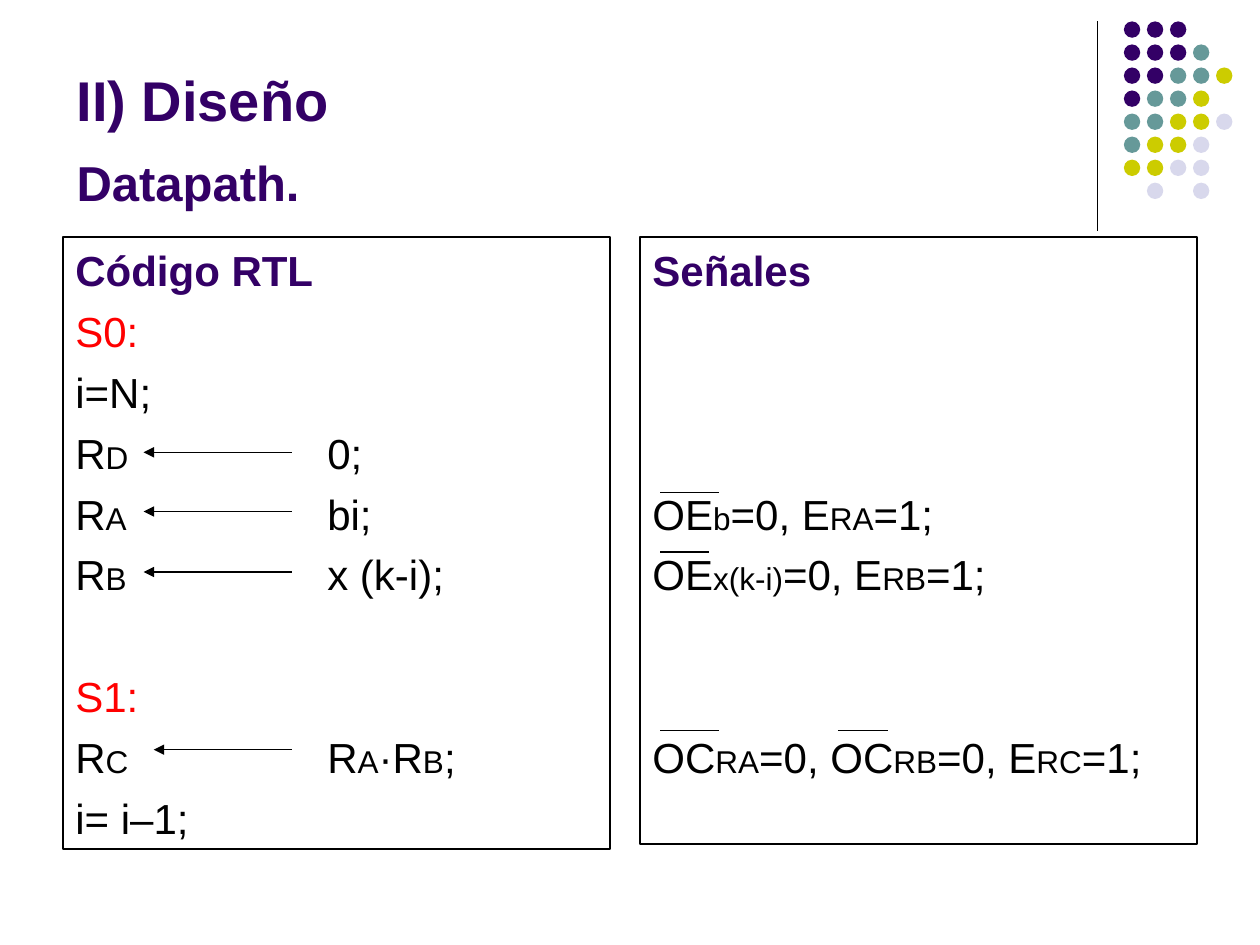
from dataclasses import dataclass

from lxml import etree
from pptx import Presentation
from pptx import util as u
from pptx.dml.color import RGBColor
from pptx.enum import shapes, text
from pptx.oxml import ns
from pptx.slide import Slide

PURPLE = RGBColor(0x33, 0x00, 0x66)
TEAL = RGBColor(0x66, 0x99, 0x99)
OLIVE = RGBColor(0xCC, 0xCC, 0x00)
LAVENDER = RGBColor(0xD8, 0xD8, 0xEC)
RED = RGBColor(0xFF, 0x00, 0x00)
BLACK = RGBColor(0x00, 0x00, 0x00)

DOT_COLORS = {"P": PURPLE, "T": TEAL, "O": OLIVE, "L": LAVENDER}
DOT_ROWS = ["PPP", "PPPT", "PPTTO", "PTTO", "TTOOL", "TOOL", "OOLL", " L L"]
DOT_PITCH = 1.28 / 7

GAP = 6
ROW = 34.8
HEADING = {"size": u.Pt(24), "bold": True, "color": PURPLE}
STATE = {"size": u.Pt(24), "bold": False, "color": RED}
CODE = {"size": u.Pt(24), "bold": False, "color": BLACK}

TITLE = [
    ("II) Diseño", {**HEADING, "size": u.Pt(32)}, 0),
    ("Datapath.", {**HEADING, "size": u.Pt(28)}, 11.2),
]
RTL_CODE = [
    ("Código RTL", HEADING, 0),
    ("S0:", STATE, GAP),
    ("i=N;", CODE, GAP),
    ("R_D_ \t\t0;", CODE, GAP),
    ("R_A_ \t\tbi;", CODE, GAP),
    ("R_B_ \t\tx (k-i);", CODE, GAP),
    ("S1:", STATE, GAP + ROW),
    ("R_C_ \t\tR_A_·R_B_;", CODE, GAP),
    ("i= i–1;", CODE, GAP),
]
SIGNALS = [
    ("Señales", HEADING, 0),
    ("OE_b_=0, E_RA_=1;", CODE, GAP + 3 * ROW),
    ("OE_x(k-i)_=0, E_RB_=1;", CODE, GAP),
    ("OC_RA_=0, OC_RB_=0, E_RC_=1;", CODE, GAP + 2 * ROW),
]
ARROWS = [(1.14, 3.59), (1.14, 4.06), (1.14, 4.54), (1.22, 5.95)]
OVERBARS = [(5.24, 5.71, 3.91), (5.24, 5.63, 4.38), (5.24, 5.71, 5.8), (6.65, 7.05, 5.8)]


@dataclass
class SlideBuilder:
    """Draws styled elements on the current slide."""

    slide: Slide
    font: str = "Arial"
    small: u.Pt = u.Pt(18)

    def line(self, left, top, right, bottom, arrow=False):
        ends = [u.Inches(value) for value in (left, top, right, bottom)]
        connector = self.slide.shapes.add_connector(shapes.MSO_CONNECTOR.STRAIGHT, *ends)
        connector.line.color.rgb = BLACK
        connector.line.width = u.Pt(0.75)
        if arrow:
            outline = connector.line._get_or_add_ln()
            etree.SubElement(outline, ns.qn("a:headEnd"), type="triangle")
        etree.SubElement(connector._element.spPr, ns.qn("a:effectLst"))

    def dot(self, left, top, color, size=0.13):
        box = [u.Inches(value) for value in (left, top, size, size)]
        shape = self.slide.shapes.add_shape(shapes.MSO_SHAPE.OVAL, *box)
        shape.shadow.inherit = False
        shape.fill.solid()
        shape.fill.fore_color.rgb = color
        shape.line.fill.background()

    def text(self, box, rows, frame_format, border=False):
        shape = self.slide.shapes.add_textbox(*[u.Inches(value) for value in box])
        if border:
            shape.line.color.rgb = BLACK
            shape.line.width = u.Pt(1)
        frame = shape.text_frame
        for name, value in {"word_wrap": True, **frame_format}.items():
            setattr(frame, name, value)
        for index, (content, style, space) in enumerate(rows):
            paragraph = frame.add_paragraph() if index else frame.paragraphs[0]
            paragraph.space_before = u.Pt(space)
            if "\t" in content:
                self.tabs(paragraph)
            self.runs(paragraph, content, style)

    def tabs(self, paragraph):
        stops = etree.SubElement(paragraph._p.get_or_add_pPr(), ns.qn("a:tabLst"))
        for position in (1, 2):
            etree.SubElement(stops, ns.qn("a:tab"), pos=str(u.Inches(position)), algn="l")

    def runs(self, paragraph, content, style):
        for index, piece in enumerate(content.split("_")):
            run = paragraph.add_run()
            run.text = piece
            size = self.small if index % 2 else style["size"]
            values = {"name": self.font, "size": size, "bold": style["bold"]}
            for name, value in values.items():
                setattr(run.font, name, value)
            run.font.color.rgb = style["color"]


def main():
    presentation = Presentation()
    presentation.slide_width = u.Inches(10)
    presentation.slide_height = u.Inches(7.5)
    builder = SlideBuilder(presentation.slides.add_slide(presentation.slide_layouts[6]))

    builder.line(8.71, 0.17, 8.71, 1.83)
    for row, dots in enumerate(DOT_ROWS):
        for column, key in enumerate(dots):
            if key in DOT_COLORS:
                left, top = 8.92 + column * DOT_PITCH, 0.17 + row * DOT_PITCH
                builder.dot(left, top, DOT_COLORS[key])

    title_format = {"vertical_anchor": text.MSO_ANCHOR.BOTTOM, "margin_bottom": u.Inches(0.08)}
    body_format = {"vertical_anchor": text.MSO_ANCHOR.TOP, "margin_top": u.Inches(0.06)}
    builder.text((0.51, 0.36, 7.32, 1.4), TITLE, title_format)
    builder.text((0.5, 1.88, 4.34, 4.86), RTL_CODE, body_format, border=True)
    builder.text((5.08, 1.88, 4.42, 4.82), SIGNALS, body_format, border=True)

    for left, top in ARROWS:
        builder.line(left, top, 2.32, top, arrow=True)
    for left, right, top in OVERBARS:
        builder.line(left, top, right, top)

    presentation.save("out.pptx")


if __name__ == "__main__":
    main()
